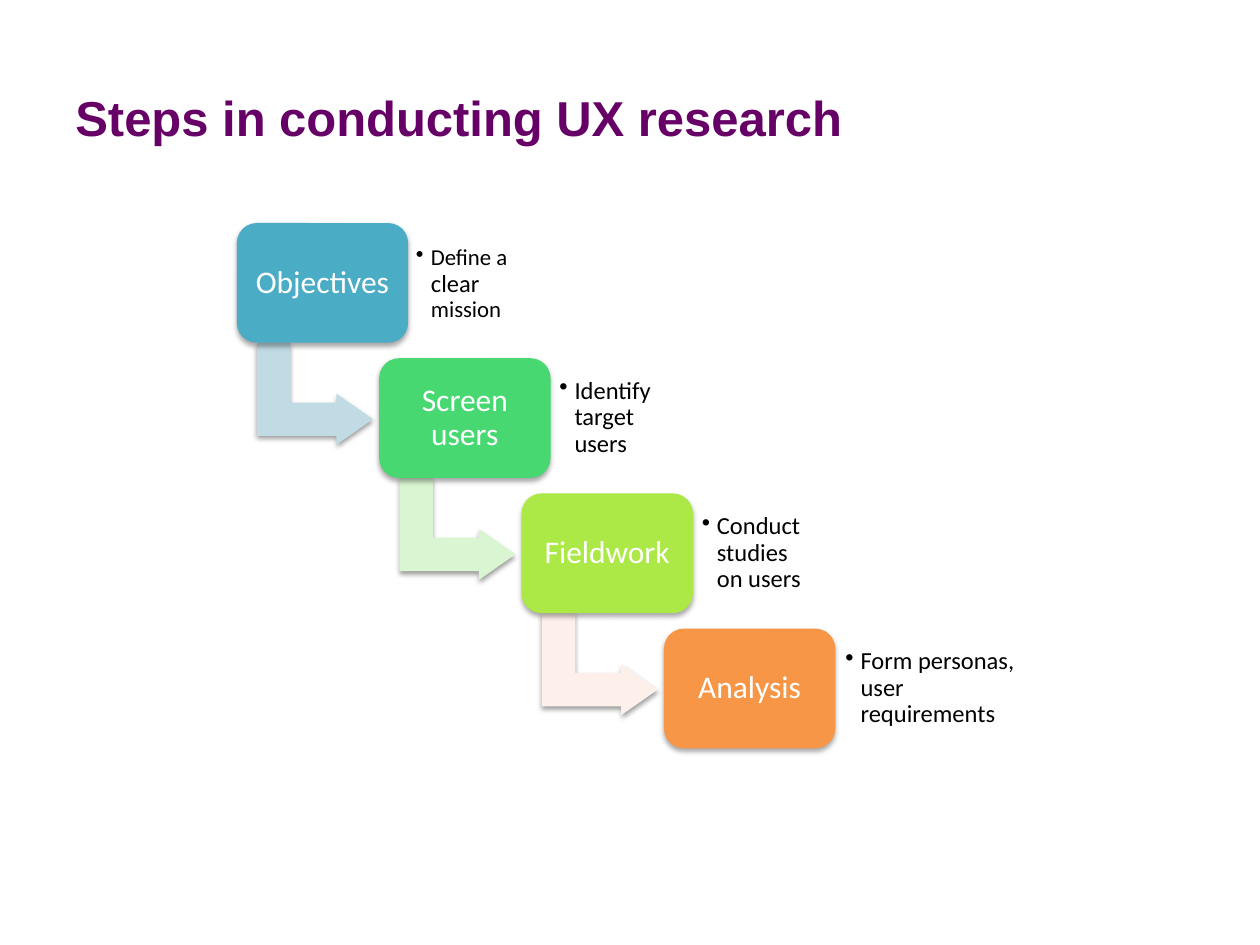
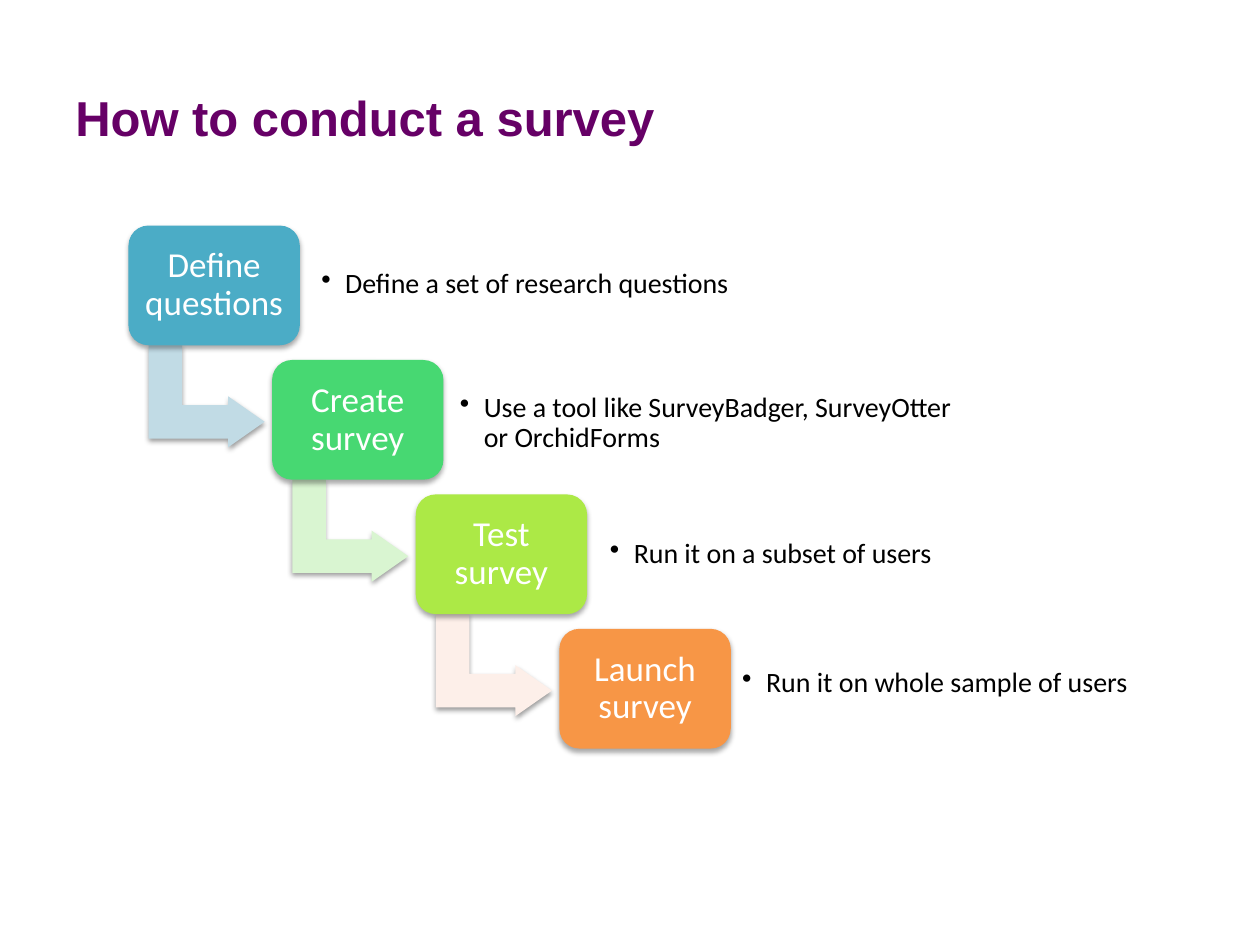
from lxml.etree import SubElement
from pptx import Presentation
from pptx.dml.color import RGBColor
from pptx.enum.shapes import MSO_SHAPE
from pptx.enum.text import MSO_ANCHOR, PP_ALIGN
from pptx.oxml import parse_xml
from pptx.oxml.ns import nsdecls, qn
from pptx.util import Inches, Pt

# Shared colours
PURPLE = RGBColor(0x66, 0x00, 0x66)
WHITE = RGBColor(0xFF, 0xFF, 0xFF)
BLACK = RGBColor(0x00, 0x00, 0x00)
STEP_COLOURS = [RGBColor(0x4B, 0xAC, 0xC6), RGBColor(0x47, 0xD8, 0x72),
                RGBColor(0xAC, 0xE9, 0x46), RGBColor(0xF7, 0x96, 0x46)]
ARROW_COLOURS = [RGBColor(0xC1, 0xDB, 0xE5), RGBColor(0xD9, 0xF5, 0xD1),
                 RGBColor(0xFD, 0xEF, 0xE9)]

# Grid of 100 columns by 75 rows
prs = Presentation()
prs.slide_width, prs.slide_height = Inches(10), Inches(7.5)
COLUMN, ROW = prs.slide_width / 100, prs.slide_height / 75
BOX_W, BOX_H = 13.6, 9.5
ARROW_W, ARROW_H = 8.1, 9.2
ARROW_DX, ARROW_DY = 2.15, 8.95
NOTE_H = 7.7


def place(left, top, width, height):
    """Turn grid columns and rows into slide lengths."""
    return (round(left * COLUMN), round(top * ROW),
            round(width * COLUMN), round(height * ROW))


def write_text(shape, runs, font="Calibri", colour=BLACK, bold=False,
               align=PP_ALIGN.LEFT, inset=0.1, spacing=0.9, indent=None):
    """Fill a shape with one paragraph of (text, size) runs."""
    frame = shape.text_frame
    frame.word_wrap = True
    frame.vertical_anchor = MSO_ANCHOR.MIDDLE
    frame.margin_left = frame.margin_right = Inches(inset)
    frame.margin_top = frame.margin_bottom = Inches(min(inset, 0.08))
    paragraph = frame.paragraphs[0]
    paragraph.alignment = align
    paragraph.line_spacing = spacing
    for text, size in runs:
        run = paragraph.add_run()
        run.text = text
        run.font.name, run.font.size = font, Pt(size)
        run.font.bold, run.font.color.rgb = bold, colour
    if indent:
        properties = paragraph._p.get_or_add_pPr()
        properties.set("marL", str(Inches(indent)))
        properties.set("indent", str(-Inches(indent)))
        SubElement(properties, qn("a:buChar")).set("char", "•")


# Each step: label, note runs, note offset from its box, note width
slides = [
    dict(title="Steps in conducting UX research",
         origin=(18.8, 17.7), pitch=(11.3, 10.73),
         label_size=18, inset=0.06, indent=0.12,
         steps=[
             ("Objectives", [("Define a ", 13), ("clear", 14), (" mission", 13)],
              (13.6, 1), 9.9),
             ("Screen users", [("Identify target users", 14)], (13.7, 0.9), 9.9),
             ("Fieldwork", [("Conduct studies on users", 14)], (13.7, 0.9), 9.9),
             ("Analysis", [("Form personas, user requirements", 14)],
              (13.8, 0.9), 14.8),
         ]),
    dict(title="How to conduct a survey",
         origin=(10.2, 17.9), pitch=(11.4, 10.67),
         label_size=20, inset=0.07, indent=0.19,
         steps=[
             ("Define questions", [("Define a set of research questions", 16)],
              (14.6, 0.8), 35),
             ("Create survey",
              [("Use a tool like SurveyBadger, SurveyOtter or OrchidForms", 16)],
              (14.2, 1.2), 42.4),
             ("Test survey", [("Run it on a subset of users", 16)],
              (14.7, 0.9), 29.6),
             ("Launch survey", [("Run it on whole sample of users", 16)],
              (13.8, 0.5), 34.3),
         ]),
]

for content in slides:
    slide = prs.slides.add_slide(prs.slide_layouts[6])

    # Title
    title = slide.shapes.add_textbox(*place(5, 3, 90, 12.5))
    write_text(title, [(content["title"], 28)], font="Arial", colour=PURPLE,
               bold=True, spacing=1.0)

    # Staircase of steps
    for index, (label, note_runs, offset, note_width) in enumerate(content["steps"]):
        left, top = (start + index * step for start, step
                     in zip(content["origin"], content["pitch"]))
        stair = []

        # Bent arrow to the next step, behind the box
        if index < len(ARROW_COLOURS):
            arrow = slide.shapes.add_shape(
                MSO_SHAPE.BENT_UP_ARROW,
                *place(left + ARROW_DX, top + ARROW_DY, ARROW_W, ARROW_H))
            arrow.rotation = 90
            for position, value in enumerate((0.328, 0.25, 0.358)):
                arrow.adjustments[position] = value
            stair.append((arrow, ARROW_COLOURS[index], 38, 1.6))

        # Step box
        box = slide.shapes.add_shape(MSO_SHAPE.ROUNDED_RECTANGLE,
                                     *place(left, top, BOX_W, BOX_H))
        box.adjustments[0] = 0.167
        write_text(box, [(label, content["label_size"])], colour=WHITE,
                   align=PP_ALIGN.CENTER, inset=0.07)
        stair.append((box, STEP_COLOURS[index], 35, 1.8))

        # Fill and soft shadow below
        for part, colour, opacity, distance in stair:
            part.fill.solid()
            part.fill.fore_color.rgb = colour
            part.line.fill.background()
            part.shadow.inherit = False
            effects = part._element.spPr.find(qn("a:effectLst"))
            effects.append(parse_xml(
                f'<a:outerShdw {nsdecls("a")} blurRad="{Pt(3.1)}" '
                f'dist="{Pt(distance)}" dir="5400000" rotWithShape="0">'
                f'<a:srgbClr val="000000"><a:alpha val="{opacity * 1000}"/>'
                '</a:srgbClr></a:outerShdw>'))

        # Note beside the box
        note = slide.shapes.add_textbox(
            *place(left + offset[0], top + offset[1], note_width, NOTE_H))
        write_text(note, note_runs, inset=content["inset"],
                   indent=content["indent"])

prs.save("out.pptx")
